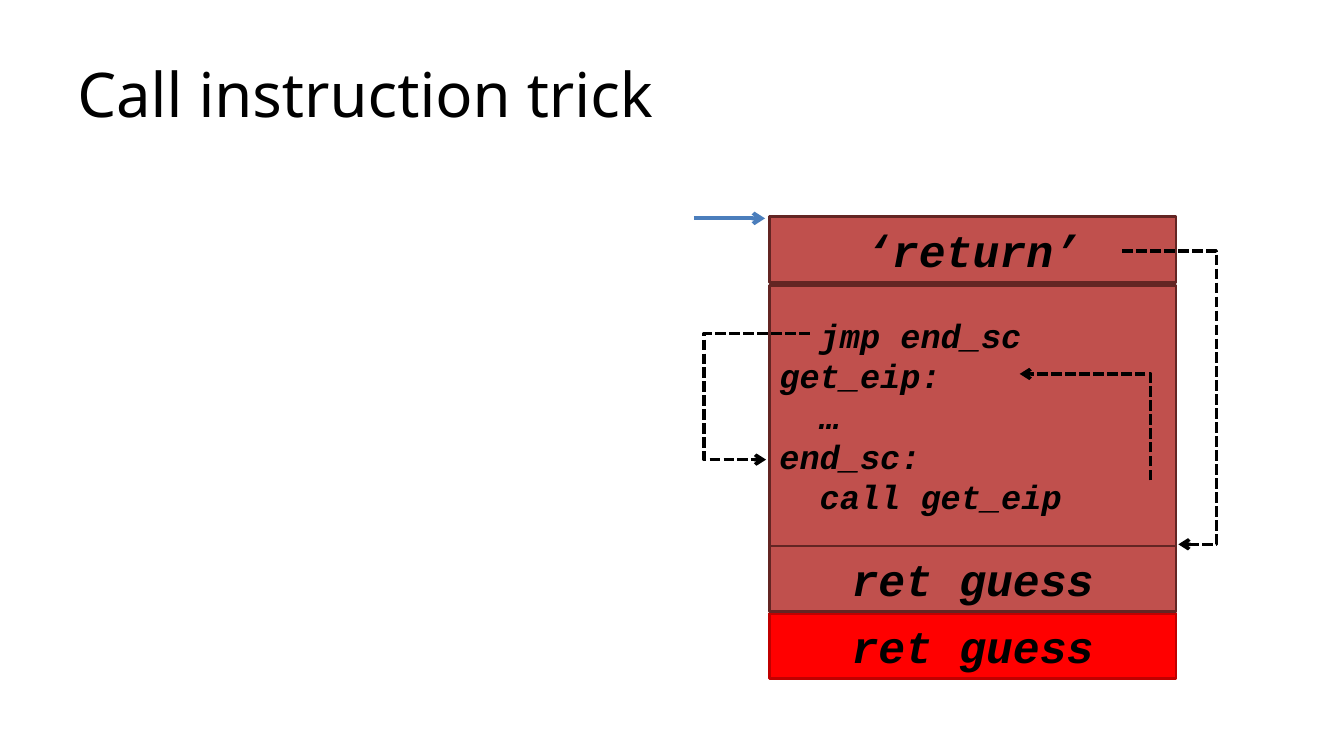
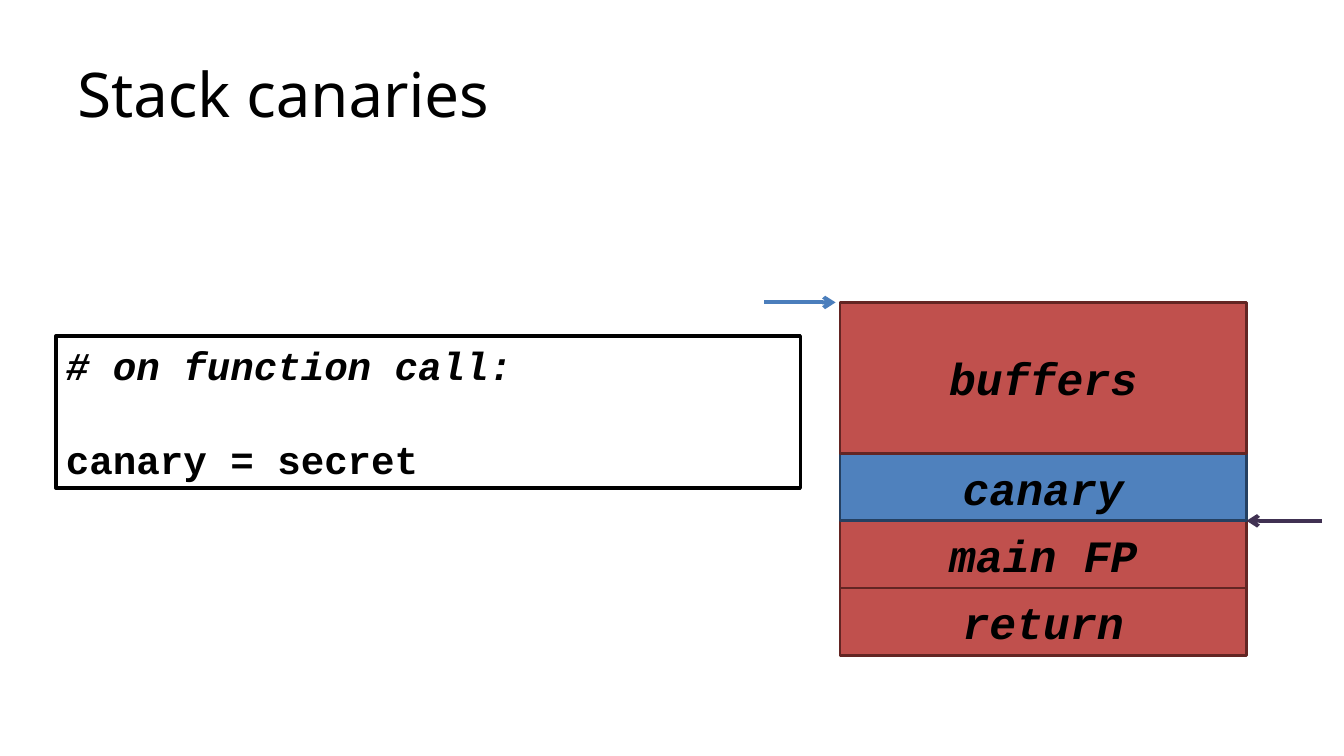
from dataclasses import dataclass
from lxml.etree import SubElement
from pptx import Presentation
from pptx.dml.color import RGBColor as Rgb
from pptx.enum.dml import MSO_LINE_DASH_STYLE as Dash
from pptx.enum.shapes import MSO_CONNECTOR as Link, MSO_SHAPE as Preset
from pptx.enum.text import MSO_ANCHOR as Anchor, MSO_AUTO_SIZE as Fit, PP_ALIGN as Align
from pptx.oxml.ns import qn
from pptx.util import Inches, Pt

# Grid: 40 columns by 22.5 rows of square units
UNIT = Inches(1) // 3
COLUMNS, ROWS = 40, 22.5
STACK_WIDTH = 12.1


@dataclass(frozen=True)
class Theme:
    title_font: str = "Noto Sans"
    code_font: str = "Courier New"
    title_size: int = 44
    cell_size: int = 32
    listing_size: int = 28
    small_code_size: int = 24
    ink: str = "000000"
    paper: str = "FFFFFF"
    red: tuple = ("C0504D", "632523")
    bright_red: tuple = ("FF0000", "C00000")
    blue: tuple = ("4F81BD", "254061")
    stack_pointer: str = "4B7EBC"
    frame_pointer: str = "403152"
    edge: float = 2
    heavy: float = 2.5
    pointer: float = 2.75


THEME = Theme()


@dataclass
class Cell:
    lines: tuple
    height: float
    colors: tuple = THEME.red
    size: int = THEME.cell_size
    align: Align = Align.CENTER
    gap: float = 0


def units(*values):
    return [round(value * UNIT) for value in values]


def set_font(para, **values):
    para.font.color.rgb = Rgb.from_string(THEME.ink)
    for name, value in values.items():
        setattr(para.font, name, value)


def set_line(shape, color, width):
    shape.line.color.rgb = Rgb.from_string(color)
    shape.line.width = Pt(width)


def add_arrowhead(shape):
    line = shape.element.spPr.find(qn("a:ln"))
    SubElement(line, qn("a:tailEnd"), type="arrow")


def add_title_slide(deck, text):
    page = deck.slides.add_slide(deck.slide_layouts[5])
    title = page.shapes.title
    title.left, title.top, title.width, title.height = units(2, 0.9, COLUMNS - 4, 3.75)
    frame = title.text_frame
    frame.text = text
    frame.auto_size = Fit.NONE
    frame.vertical_anchor = Anchor.MIDDLE
    para = frame.paragraphs[0]
    para.alignment = Align.LEFT
    set_font(para, name=THEME.title_font, size=Pt(THEME.title_size))
    return page


def add_code_box(page, area, lines, colors, size, align=Align.LEFT,
                 anchor=Anchor.MIDDLE, edge=THEME.edge):
    """Draw a filled box of code and return its paragraphs."""
    box = page.shapes.add_shape(Preset.RECTANGLE, *units(*area))
    box.shadow.inherit = False
    fill, outline = colors
    box.fill.solid()
    box.fill.fore_color.rgb = Rgb.from_string(fill)
    set_line(box, outline, edge)
    frame = box.text_frame
    frame.word_wrap = True
    frame.vertical_anchor = anchor
    for index, text in enumerate(lines):
        para = frame.add_paragraph() if index else frame.paragraphs[0]
        para.text = text
        para.alignment = align
        set_font(para, name=THEME.code_font, size=Pt(size), bold=True, italic=True)
    return frame.paragraphs


def add_stack(page, left, top, cells):
    placed = []
    for cell in cells:
        placed.append((top, cell))
        top += cell.height + cell.gap
    # Upper cells overlap the edges of lower ones
    for cell_top, cell in reversed(placed):
        area = (left, cell_top, STACK_WIDTH, cell.height)
        add_code_box(page, area, cell.lines, cell.colors, cell.size, cell.align)


def add_pointer(page, start, end, color):
    arrow = page.shapes.add_connector(Link.STRAIGHT, *units(*start, *end))
    set_line(arrow, color, THEME.pointer)
    add_arrowhead(arrow)
    SubElement(arrow.element.spPr, qn("a:effectLst"))


def add_jump(page, *points):
    first, *rest = [units(*point) for point in points]
    builder = page.shapes.build_freeform(*first)
    builder.add_line_segments(rest, close=False)
    jump = builder.convert_to_shape()
    jump.shadow.inherit = False
    jump.fill.background()
    set_line(jump, THEME.ink, THEME.heavy)
    jump.line.dash_style = Dash.SQUARE_DOT
    add_arrowhead(jump)


def build_call_trick(deck):
    page = add_title_slide(deck, "Call instruction trick")
    # Overwritten stack
    code = ("  jmp end_sc", "get_eip:", "  …", "end_sc:", "  call get_eip")
    add_stack(page, 22.9, 6.45, [
        Cell(("‘return’",), 1.95, gap=0.1),
        Cell(code, 7.75, size=THEME.small_code_size, align=Align.LEFT),
        Cell(("ret guess",), 1.95, gap=0.05),
        Cell(("ret guess",), 1.95, THEME.bright_red),
    ])
    # Control flow
    add_jump(page, (24.1, 9.93), (20.95, 9.93), (20.95, 13.68), (22.8, 13.68))
    add_jump(page, (34.25, 14.3), (34.25, 11.13), (30.35, 11.13))
    add_jump(page, (33.4, 7.47), (36.2, 7.47), (36.2, 16.2), (35.07, 16.2))
    add_pointer(page, (20.65, 6.5), (22.77, 6.5), THEME.stack_pointer)


def build_canaries(deck):
    page = add_title_slide(deck, "Stack canaries")
    # Stack with its pointers
    left, top = 25, 9
    add_stack(page, left, top, [
        Cell(("buffers",), 4.5),
        Cell(("canary",), 2, THEME.blue),
        Cell(("main FP",), 2),
        Cell(("return",), 2),
    ])
    add_pointer(page, (22.75, top), (24.87, top), THEME.stack_pointer)
    right, frame_row = left + STACK_WIDTH, top + 6.5
    add_pointer(page, (right + 2.25, frame_row), (right, frame_row), THEME.frame_pointer)
    # Listing
    lines = ("# on function call:", "canary = secret")
    comment, statement = add_code_box(
        page, (1.67, 10, 22.15, 4.53), lines, (THEME.paper, THEME.ink),
        THEME.listing_size, anchor=Anchor.TOP, edge=THEME.heavy)
    statement.font.italic = False
    statement.space_before = Pt(34)


def main():
    deck = Presentation()
    deck.slide_width, deck.slide_height = units(COLUMNS, ROWS)
    build_call_trick(deck)
    build_canaries(deck)
    deck.save("out.pptx")


if __name__ == "__main__":
    main()
